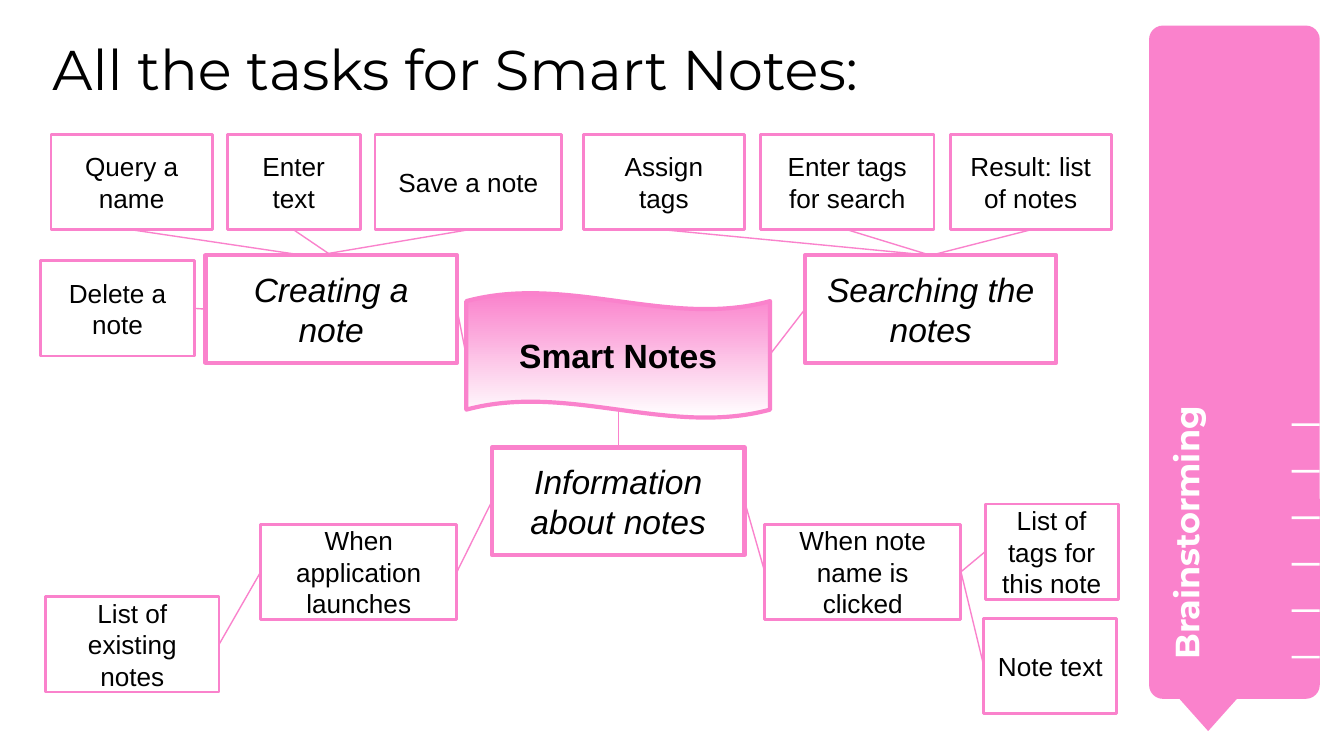
from typing import NamedTuple

from lxml.etree import SubElement
from pptx import Presentation
from pptx.dml.color import RGBColor
from pptx.enum.shapes import MSO_CONNECTOR, MSO_SHAPE as Shape
from pptx.enum.text import MSO_ANCHOR as Anchor, MSO_AUTO_SIZE, PP_ALIGN as Align
from pptx.oxml.ns import qn
from pptx.util import Inches, Pt

PINK = RGBColor(0xFA, 0x82, 0xCC)
WHITE = RGBColor(0xFF, 0xFF, 0xFF)
BLACK = RGBColor(0x00, 0x00, 0x00)
TOP, LEFT, BOTTOM, RIGHT = range(4)
PAGE_WIDTH = 10
PAGE_HEIGHT = PAGE_WIDTH * 9 / 16
INSET = 0.1


class Style(NamedTuple):
    size: float
    border: float
    height: float
    bold: bool = False
    italic: bool = False


class Node(NamedTuple):
    text: str
    left: float
    top: float
    width: float
    style: Style
    filled: bool = True


class Side(NamedTuple):
    text: str
    site: int


class Point(NamedTuple):
    x: float
    y: float


class Link(NamedTuple):
    start: Side | Point
    end: Side


ROOT = Style(18, 2.25, 0.93, bold=True)
TOPIC = Style(18, 2.25, 0.8, italic=True)
TASK = Style(14, 1.5, 0.71)

CENTRE = Node("Smart Notes", 3.47, 2.18, 2.26, ROOT)
CREATING, SEARCHING, INFORMATION = (
    "Creating a note", "Searching the notes", "Information about notes")
LAUNCH, CLICK = "When application launches", "When note name is clicked"

NODES = [
    Node(CREATING, 1.53, 1.9, 1.87, TOPIC),
    Node(SEARCHING, 5.99, 1.9, 1.87, TOPIC),
    Node(INFORMATION, 3.66, 3.33, 1.88, TOPIC),
    Node("Query a name", 0.38, 1, 1.2, TASK),
    Node("Enter text", 1.69, 1, 0.99, TASK),
    Node("Save a note", 2.79, 1, 1.39, TASK),
    Node(LAUNCH, 1.94, 3.9, 1.46, TASK),
    Node("Enter tags for search", 5.66, 1, 1.29, TASK),
    Node("Result: list of notes", 7.07, 1, 1.2, TASK),
    Node("List of existing notes", 0.34, 4.44, 1.29, TASK),
    Node(CLICK, 5.69, 3.9, 1.46, TASK),
    Node("List of tags for this note", 7.33, 3.75, 0.99, TASK),
    Node("Note text", 7.32, 4.6, 0.99, TASK),
    Node("Delete a note", 0.3, 1.94, 1.15, TASK, filled=False),
    Node("Assign tags", 4.34, 1, 1.2, TASK),
]

LINKS = [
    Link(Point(2.26, 1.9), Side("Query a name", BOTTOM)),
    Link(Side(CREATING, TOP), Side("Enter text", BOTTOM)),
    Link(Point(2.36, 1.9), Side("Save a note", BOTTOM)),
    Link(Point(3.47, 2.65), Side(CREATING, RIGHT)),
    Link(Side(SEARCHING, TOP), Side("Enter tags for search", BOTTOM)),
    Link(Side(SEARCHING, TOP), Side("Result: list of notes", BOTTOM)),
    Link(Point(5.72, 2.65), Side(SEARCHING, LEFT)),
    Link(Side(INFORMATION, LEFT), Side(LAUNCH, RIGHT)),
    Link(Side(LAUNCH, LEFT), Side("List of existing notes", RIGHT)),
    Link(Side(INFORMATION, RIGHT), Side(CLICK, LEFT)),
    Link(Side(CLICK, RIGHT), Side("List of tags for this note", LEFT)),
    Link(Side(CLICK, RIGHT), Side("Note text", LEFT)),
    Link(Point(4.6, 3.05), Side(INFORMATION, TOP)),
    Link(Side("Delete a note", RIGHT), Side(CREATING, LEFT)),
    Link(Side(SEARCHING, TOP), Side("Assign tags", BOTTOM)),
]


def place(shape, left: float, top: float, width: float, height: float) -> None:
    shape.left, shape.top = Inches(left), Inches(top)
    shape.width, shape.height = Inches(width), Inches(height)


def write(shape, text: str, font_name: str, size: float, color: RGBColor,
          align=Align.LEFT, anchor=Anchor.TOP, inset: float = INSET,
          bold: bool = False, italic: bool = False) -> None:
    frame = shape.text_frame
    frame.word_wrap = True
    frame.auto_size = MSO_AUTO_SIZE.NONE
    frame.vertical_anchor = anchor
    frame.margin_left = frame.margin_right = Inches(inset)
    frame.margin_top = frame.margin_bottom = Inches(inset)
    frame.text = text
    para = frame.paragraphs[0]
    para.alignment = align
    font = para.font
    font.name, font.size, font.color.rgb = font_name, Pt(size), color
    font.bold, font.italic = bold, italic


def add_solid(shapes, kind, left: float, top: float, width: float,
              height: float, color: RGBColor):
    """Add a filled shape without outline or shadow."""
    shape = shapes.add_shape(kind, Inches(left), Inches(top),
                             Inches(width), Inches(height))
    shape.shadow.inherit = False
    shape.fill.solid()
    shape.fill.fore_color.rgb = color
    shape.line.fill.background()
    return shape


def add_node(shapes, node: Node, kind=Shape.RECTANGLE):
    style = node.style
    box = add_solid(shapes, kind, node.left, node.top, node.width, style.height, WHITE)
    if not node.filled:
        box.fill.background()
    box.line.color.rgb = PINK
    box.line.width = Pt(style.border)
    write(box, node.text, "Arial", style.size, BLACK, Align.CENTER, Anchor.MIDDLE,
          bold=style.bold, italic=style.italic)
    return box


def add_centre(shapes) -> None:
    wave = add_node(shapes, CENTRE, Shape.WAVE)
    wave.adjustments[0] = 0.066
    wave.fill.gradient()
    wave.fill.gradient_angle = 270
    for stop, color, position in zip(wave.fill.gradient_stops, (PINK, WHITE), (0, 1)):
        stop.color.rgb = color
        stop.position = position


def add_link(shapes, link: Link, boxes: dict) -> None:
    start, end = link
    corner = (0, 0) if isinstance(start, Side) else (Inches(start.x), Inches(start.y))
    line = shapes.add_connector(MSO_CONNECTOR.STRAIGHT, *corner, *corner)
    if isinstance(start, Side):
        line.begin_connect(boxes[start.text], start.site)
    line.end_connect(boxes[end.text], end.site)
    line.line.color.rgb = PINK
    line.line.width = Pt(0.75)
    SubElement(line._element.spPr, qn("a:effectLst"))


def add_banner(shapes) -> None:
    """Draw the section marker with its ruler ticks at the right edge."""
    marker = shapes.add_group_shape().shapes
    panel = add_solid(marker, Shape.ROUNDED_RECTANGLE, 8.55, 0.19, 1.27, 5.01, PINK)
    panel.adjustments[0] = 0.081
    add_solid(marker, Shape.FLOWCHART_MERGE, 8.66, 5.07, 0.66, 0.37, PINK)
    label = shapes.add_textbox(0, 0, 0, 0)
    place(label, 7.14, 2.9, 3.54, 0.67)
    label.rotation = 270
    write(label, "Brainstorming", "Montserrat", 18, WHITE, bold=True)
    for index in range(6):
        top = 3.15 + index * (4.88 - 3.15) / 5
        add_solid(shapes, Shape.RECTANGLE, 9.61, top, 0.21, 0.02, WHITE)


def main() -> None:
    deck = Presentation()
    deck.slide_width, deck.slide_height = Inches(PAGE_WIDTH), Inches(PAGE_HEIGHT)
    page = deck.slides.add_slide(deck.slide_layouts[5])
    shapes = page.shapes
    add_banner(shapes)
    place(shapes.title, 0.39, 0.26, 7.94, 0.69)
    write(shapes.title, "All the tasks for Smart Notes:", "Montserrat", 30, BLACK, inset=0)
    add_centre(shapes)
    boxes = {node.text: add_node(shapes, node) for node in NODES}
    for link in LINKS:
        add_link(shapes, link, boxes)
    deck.save("out.pptx")


if __name__ == "__main__":
    main()
